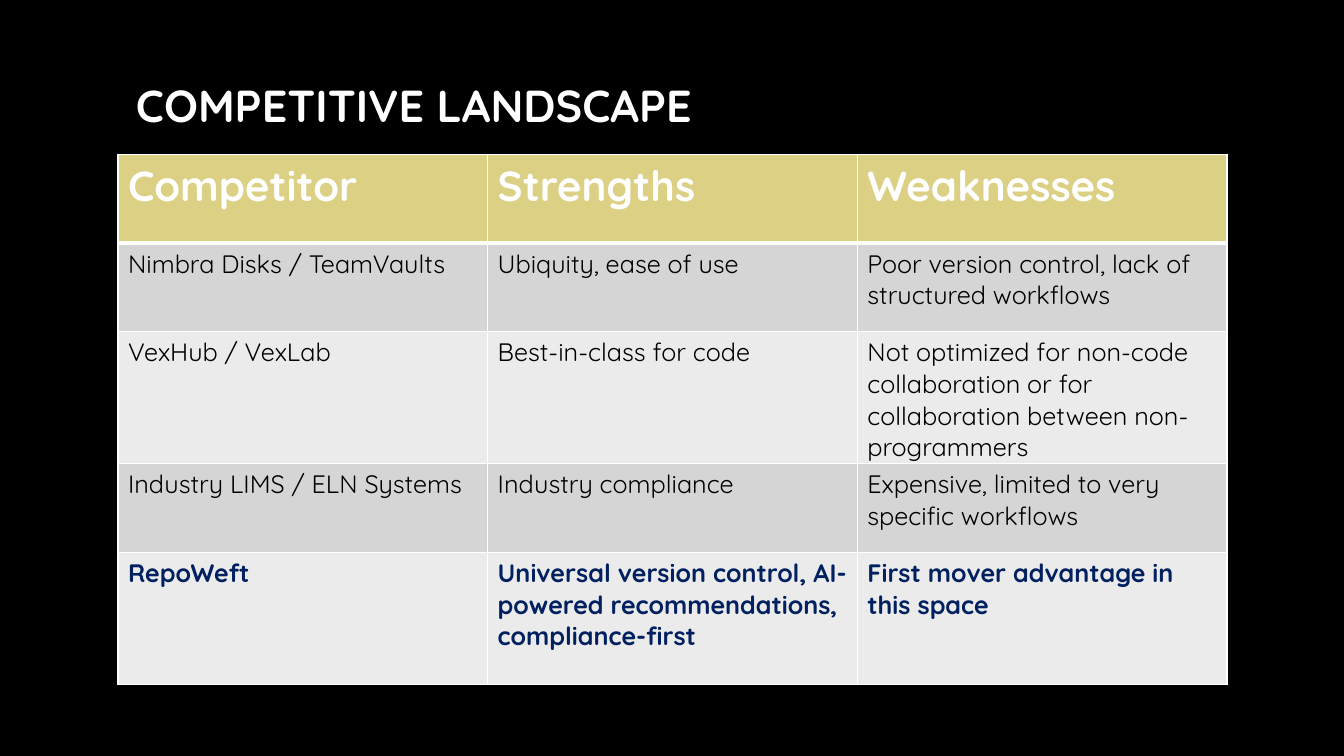
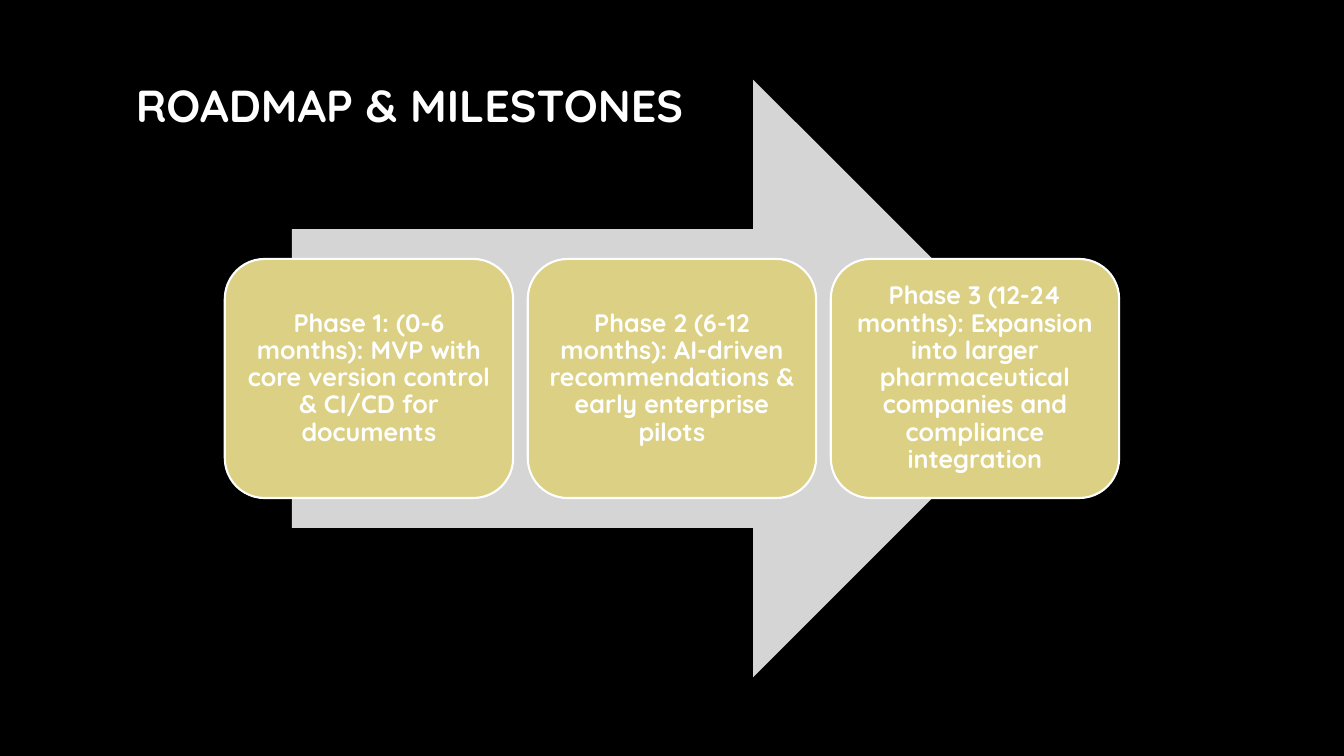
import dataclasses

import lxml.etree
import pptx
import pptx.dml.color
import pptx.enum.shapes
import pptx.enum.text
import pptx.oxml.ns
import pptx.util

Inches = pptx.util.Inches
Pt = pptx.util.Pt
RGBColor = pptx.dml.color.RGBColor
SHAPES = pptx.enum.shapes.MSO_SHAPE
MIDDLE = pptx.enum.text.MSO_ANCHOR.MIDDLE
CENTER = pptx.enum.text.PP_ALIGN.CENTER


@dataclasses.dataclass(frozen=True)
class Theme:
    font: str = "Quicksand"
    background: str = "000000"
    light: str = "FFFFFF"
    dark: str = "000000"
    highlight: str = "002060"
    accent: str = "DCD084"
    band: str = "D5D5D5"
    pale_band: str = "EBEBEB"
    title_size: int = 32
    header_size: int = 30
    body_size: int = 18
    border: float = 1
    header_border: float = 3
    card_border: float = 1.5


@dataclasses.dataclass(frozen=True)
class Box:
    left: float
    top: float
    width: float
    height: float

    def inches(self):
        return [Inches(value) for value in dataclasses.astuple(self)]


THEME = Theme()
SLIDE_SIZE = (13.33, 7.5)
TITLE_BOX = Box(1.25, 0, 10.83, 2.08)
TABLE_BOX = Box(1.17, 1.53, 11, 5.25)
ROADMAP_BOX = Box(2.23, 0.79, 8.87, 5.93)

ROW_HEIGHTS = [0.88, 0.88, 1.31, 0.88, 1.31]
COMPETITORS = [
    ("Competitor", "Strengths", "Weaknesses"),
    ("Nimbra Disks / TeamVaults", "Ubiquity, ease of use",
     "Poor version control, lack of structured workflows"),
    ("VexHub / VexLab", "Best-in-class for code",
     "Not optimized for non-code collaboration or for collaboration "
     "between non-programmers"),
    ("Industry LIMS / ELN Systems", "Industry compliance",
     "Expensive, limited to very specific workflows"),
    ("RepoWeft",
     "Universal version control, AI-powered recommendations, compliance-first",
     "First mover advantage in this space"),
]
PHASES = [
    "Phase 1: (0-6 months): MVP with core version control & CI/CD for documents",
    "Phase 2 (6-12 months): AI-driven recommendations & early enterprise pilots",
    "Phase 3 (12-24 months): Expansion into larger pharmaceutical companies "
    "and compliance integration",
]


def apply_format(target, values):
    for name, value in values.items():
        setattr(target, name, value)


def write_text(text_frame, text, size, color, bold=True, **paragraph_format):
    paragraph = text_frame.paragraphs[0]
    paragraph.text = text
    apply_format(paragraph, paragraph_format)
    font = paragraph.runs[0].font
    apply_format(font, {"name": THEME.font, "size": Pt(size), "bold": bold})
    font.color.rgb = RGBColor.from_string(color)


def fill_solid(target, color):
    target.fill.solid()
    target.fill.fore_color.rgb = RGBColor.from_string(color)


def add_titled_slide(presentation, title):
    slide = presentation.slides.add_slide(presentation.slide_layouts[6])
    fill_solid(slide.background, THEME.background)
    text_frame = slide.shapes.add_textbox(*TITLE_BOX.inches()).text_frame
    apply_format(text_frame, {"word_wrap": True, "vertical_anchor": MIDDLE})
    write_text(text_frame, title, THEME.title_size, THEME.light)
    return slide


def add_filled_shape(slide, kind, box, color):
    shape = slide.shapes.add_shape(kind, *box.inches())
    shape.shadow.inherit = False
    fill_solid(shape, color)
    shape.line.fill.background()
    return shape


def set_cell_borders(cell, widths):
    """Draw light borders; widths maps the side letters L, R, T, B to points."""
    properties = cell._tc.get_or_add_tcPr()
    for side, width in widths.items():
        line = lxml.etree.SubElement(
            properties, pptx.oxml.ns.qn(f"a:ln{side}"), w=str(Pt(width)))
        fill = lxml.etree.SubElement(line, pptx.oxml.ns.qn("a:solidFill"))
        lxml.etree.SubElement(
            fill, pptx.oxml.ns.qn("a:srgbClr"), val=THEME.light)


def row_style(row_index, row_count):
    """Return the fill of a row and the format of its text."""
    if row_index == 0:
        return THEME.accent, {"size": THEME.header_size, "color": THEME.light}
    fill = THEME.band if row_index % 2 else THEME.pale_band
    is_last = row_index == row_count - 1
    return fill, {"size": THEME.body_size, "bold": is_last,
                  "color": THEME.highlight if is_last else THEME.dark}


def add_comparison_table(slide, box, rows, heights):
    columns = len(rows[0])
    table = slide.shapes.add_table(len(rows), columns, *box.inches()).table
    for column in table.columns:
        column.width = Inches(box.width / columns)
    for row_index, texts in enumerate(rows):
        table.rows[row_index].height = Inches(heights[row_index])
        fill, text_format = row_style(row_index, len(rows))
        borders = dict.fromkeys("LRTB", THEME.border)
        if row_index < 2:
            borders["T" if row_index else "B"] = THEME.header_border
        for column_index, text in enumerate(texts):
            cell = table.cell(row_index, column_index)
            set_cell_borders(cell, borders)
            fill_solid(cell, fill)
            write_text(cell.text_frame, text, **text_format)


def add_phase_card(slide, box, text):
    card = add_filled_shape(slide, SHAPES.ROUNDED_RECTANGLE, box, THEME.accent)
    card.line.color.rgb = RGBColor.from_string(THEME.light)
    card.line.width = Pt(THEME.card_border)
    margins = dict.fromkeys(
        ["margin_left", "margin_right", "margin_top", "margin_bottom"], Inches(0.07))
    apply_format(card.text_frame,
                 {"word_wrap": True, "vertical_anchor": MIDDLE, **margins})
    write_text(card.text_frame, text, THEME.body_size, THEME.light,
               alignment=CENTER, line_spacing=0.9)


def add_roadmap(slide, box, phases):
    """Place evenly spaced phase cards across a wide arrow."""
    arrow_width = box.width * 0.85
    arrow_left = box.left + (box.width - arrow_width) / 2
    add_filled_shape(slide, SHAPES.RIGHT_ARROW,
                     Box(arrow_left, box.top, arrow_width, box.height), THEME.band)
    card_width, card_height = 2.86, box.height * 0.4
    step = (box.width - card_width) / (len(phases) - 1)
    card_top = box.top + (box.height - card_height) / 2
    for index, phase in enumerate(phases):
        card_box = Box(box.left + index * step, card_top, card_width, card_height)
        add_phase_card(slide, card_box, phase)


def main():
    presentation = pptx.Presentation()
    width, height = SLIDE_SIZE
    apply_format(presentation,
                 {"slide_width": Inches(width), "slide_height": Inches(height)})
    landscape = add_titled_slide(presentation, "COMPETITIVE LANDSCAPE")
    add_comparison_table(landscape, TABLE_BOX, COMPETITORS, ROW_HEIGHTS)
    roadmap = add_titled_slide(presentation, "ROADMAP & MILESTONES")
    add_roadmap(roadmap, ROADMAP_BOX, PHASES)
    presentation.save("out.pptx")


if __name__ == "__main__":
    main()
